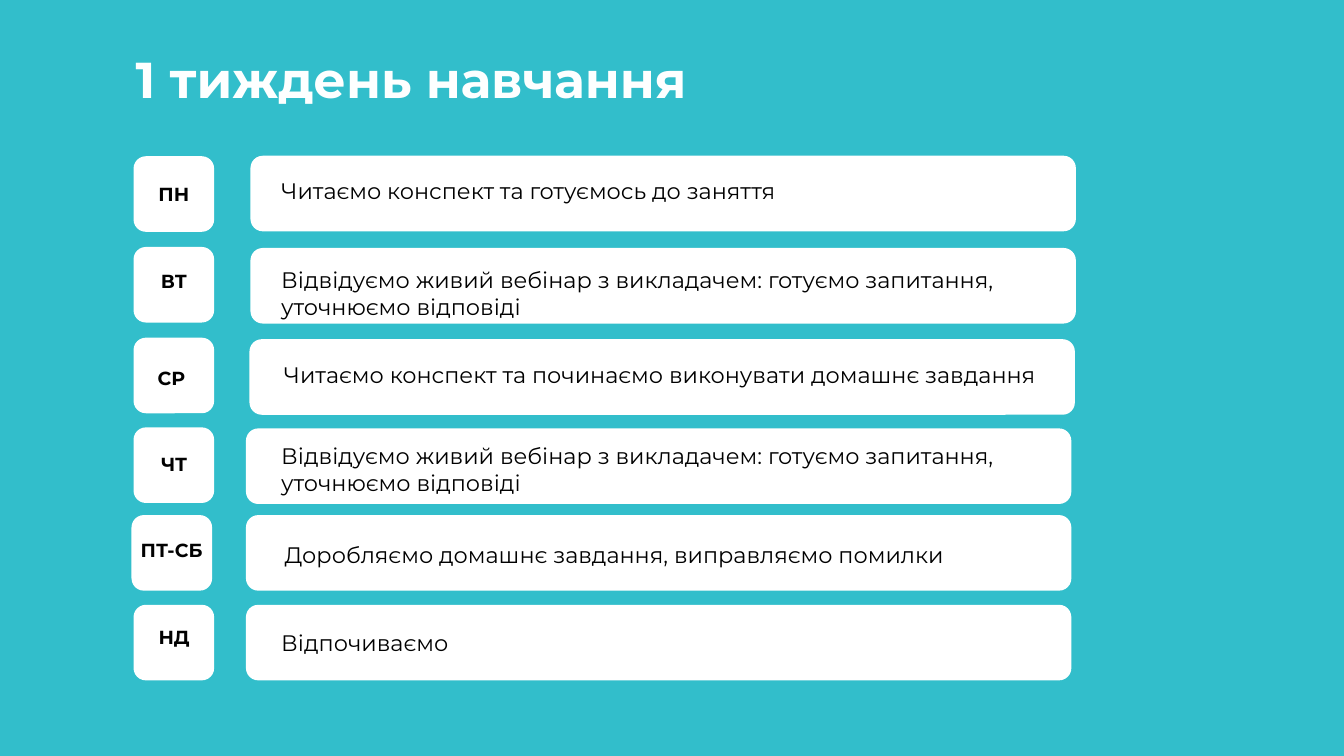
from dataclasses import dataclass

from pptx import Presentation
from pptx.dml.color import RGBColor
from pptx.enum.shapes import MSO_SHAPE
from pptx.enum.text import MSO_ANCHOR, PP_ALIGN
from pptx.util import Inches

from pptx.util import Pt

TURQUOISE = RGBColor(0x32, 0xBE, 0xCB)
WHITE = RGBColor(0xFF, 0xFF, 0xFF)
TITLE_WHITE = RGBColor(0xFD, 0xFF, 0xFF)
BLACK = RGBColor(0x01, 0x01, 0x01)

TITLE_FONT = {"name": "Montserrat", "size": Pt(72), "bold": True}
DAY_FONT = {"name": "Montserrat", "size": Pt(27), "bold": True}
TASK_FONT = {"name": "Montserrat", "size": Pt(32), "bold": False}

CARD_HEIGHT = 1.5
DAY_CARD_WIDTH = 1.6
TASK_CARD_WIDTH = 16.38
TEXT_HEIGHT = 1.19
WEBINAR = "Відвідуємо живий вебінар з викладачем: готуємо запитання, уточнюємо відповіді"


@dataclass
class Entry:
    """Text with its card corner, text offset from that corner and text width."""
    text: str
    left: float
    top: float
    offset_left: float
    offset_top: float
    width: float


SCHEDULE = [
    (Entry("ПН", 2.65, 3.1, 0.18, 0.3, 1.24),
     Entry("Читаємо конспект та готуємось до заняття", 4.97, 3.09, 0.34, 0.15, 14.27)),
    (Entry("ВТ", 2.65, 4.9, 0.18, 0.23, 1.24),
     Entry(WEBINAR, 4.97, 4.92, 0.34, 0.09, 15.52)),
    (Entry("СР", 2.65, 6.7, 0.13, 0.34, 1.24),
     Entry("Читаємо конспект та починаємо виконувати домашнє завдання",
           4.95, 6.73, 0.41, 0.17, 16)),
    (Entry("ЧТ", 2.65, 8.48, -0.11, 0.27, 1.83),
     Entry(WEBINAR, 4.88, 8.5, 0.43, 0, 15.52)),
    (Entry("ПТ-СБ", 2.61, 10.22, -0.12, 0.25, 1.83),
     Entry("Доробляємо домашнє завдання, виправляємо помилки",
           4.88, 10.22, 0.5, 0.25, 15.52)),
    (Entry("НД", 2.65, 12, -0.18, 0.19, 1.97),
     Entry("Відпочиваємо", 4.88, 12, 0.43, 0.22, 15.52)),
]


def write_text(shape, text, font_values, color, alignment, insets):
    """Fill a shape with one formatted paragraph."""
    frame = shape.text_frame
    frame.word_wrap = True
    for side, inset in zip(("left", "top", "right", "bottom"), insets):
        setattr(frame, f"margin_{side}", Inches(inset))
    paragraph = frame.paragraphs[0]
    paragraph.alignment = alignment
    run = paragraph.add_run()
    run.text = text
    for attribute, value in font_values.items():
        setattr(run.font, attribute, value)
    run.font.color.rgb = color


def add_title(slide, text, left, top, width, height):
    """Place and format the title placeholder."""
    title = slide.shapes.title
    title.left, title.top = Inches(left), Inches(top)
    title.width, title.height = Inches(width), Inches(height)
    write_text(title, text, TITLE_FONT, TITLE_WHITE, PP_ALIGN.LEFT, (0.2, 0.1, 0.2, 0.1))
    title.text_frame.vertical_anchor = MSO_ANCHOR.MIDDLE
    title.text_frame.paragraphs[0].line_spacing = 0.9


def add_card(slide, entry, card_width, font_values, alignment):
    """Draw a rounded white card with its text on top."""
    card = slide.shapes.add_shape(
        MSO_SHAPE.ROUNDED_RECTANGLE, Inches(entry.left), Inches(entry.top),
        Inches(card_width), Inches(CARD_HEIGHT))
    card.adjustments[0] = 0.163
    card.shadow.inherit = False
    card.fill.solid()
    card.fill.fore_color.rgb = WHITE
    card.line.fill.background()
    label = slide.shapes.add_textbox(
        Inches(entry.left + entry.offset_left), Inches(entry.top + entry.offset_top),
        Inches(entry.width), Inches(TEXT_HEIGHT))
    write_text(label, entry.text, font_values, BLACK, alignment, (0.27,) * 4)


def main():
    """Build the weekly schedule slide."""
    presentation = Presentation()
    presentation.slide_width = Inches(26.67)
    presentation.slide_height = Inches(15)
    slide = presentation.slides.add_slide(presentation.slide_layouts.get_by_name("Title Only"))
    slide.background.fill.solid()
    slide.background.fill.fore_color.rgb = TURQUOISE
    add_title(slide, "1 тиждень навчання", 2.49, 1.03, 18.51, 1.19)
    for day, task in SCHEDULE:
        add_card(slide, day, DAY_CARD_WIDTH, DAY_FONT, PP_ALIGN.CENTER)
        add_card(slide, task, TASK_CARD_WIDTH, TASK_FONT, PP_ALIGN.LEFT)
    presentation.save("out.pptx")


if __name__ == "__main__":
    main()
